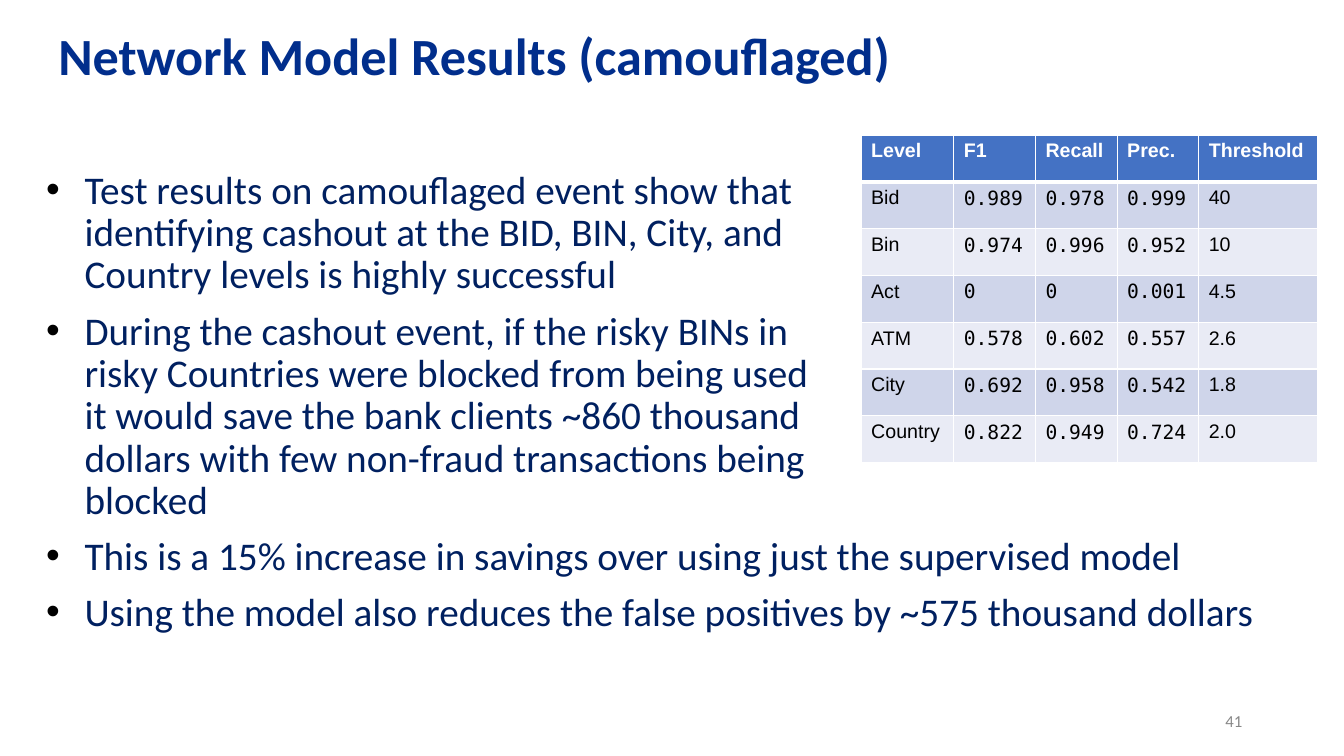
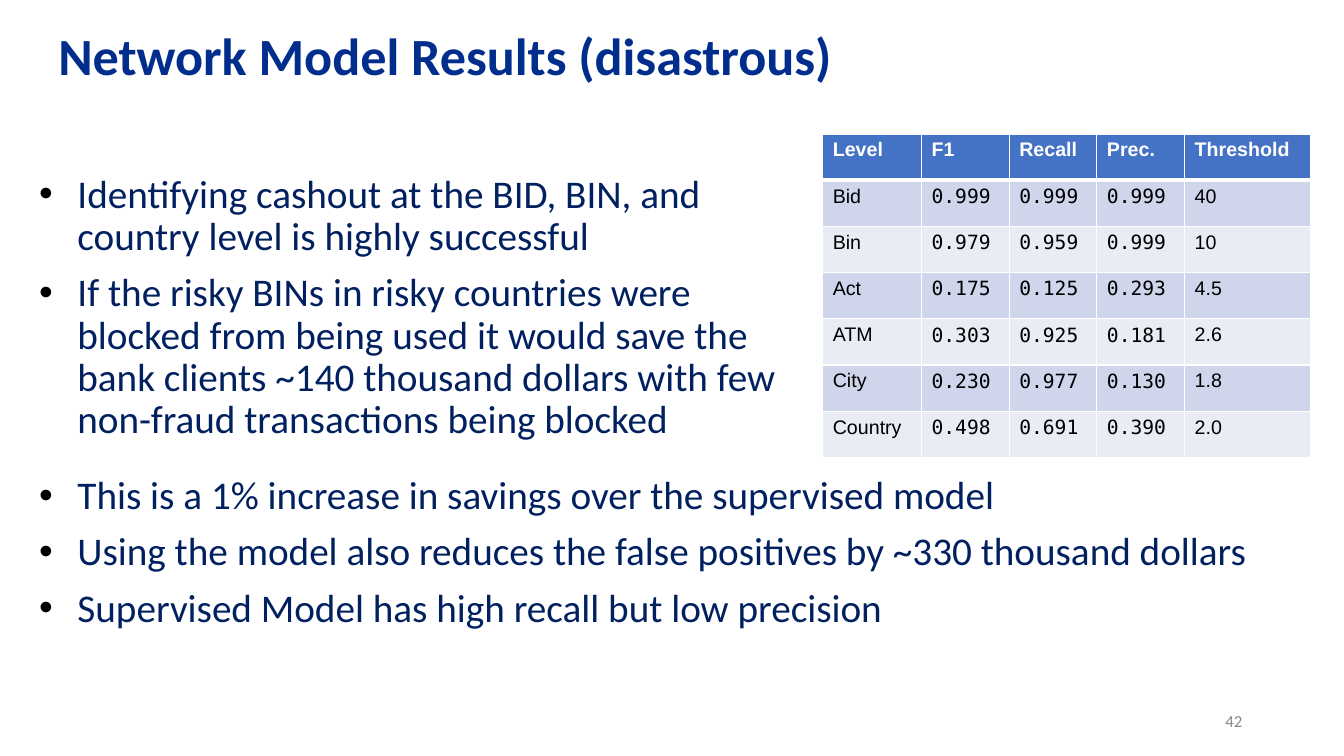
from lxml import etree
from pptx import Presentation
from pptx import util as u
from pptx.dml.color import RGBColor
from pptx.enum import text
from pptx.oxml.ns import qn

PX = 9144
COLORS = {
    "title": "012E8C",
    "body": "002060",
    "bullet": "000000",
    "number": "888888",
    "head": "4472C4",
    "odd": "CFD5EA",
    "even": "E9EBF5",
    "cell": "000000",
    "white": "FFFFFF",
}
SANS, TABLE_FONT, MONO = "Calibri", "Arial", "DejaVu Sans Mono"


def px(length):
    return u.Emu(length * PX)


def rgb(name):
    return RGBColor.from_string(COLORS[name])


def add_color(parent, name):
    etree.SubElement(parent, qn("a:srgbClr"), val=COLORS[name])


class Deck:
    def __init__(self):
        self.deck = Presentation()
        self.deck.slide_width, self.deck.slide_height = px(1333), px(750)
        self.page = None

    def add_page(self, title, number):
        self.page = self.deck.slides.add_slide(self.deck.slide_layouts[6])
        para = self.add_box(48, 17, 1167, 83, [title], anchor=text.MSO_ANCHOR.MIDDLE)[0]
        para.line_spacing = 0.9
        self.style(para, SANS, 37.3, "title", True)
        para = self.add_box(942, 695, 300, 40, [str(number)], anchor=text.MSO_ANCHOR.MIDDLE)[0]
        para.alignment = text.PP_ALIGN.RIGHT
        self.style(para, SANS, 12, "number")

    def style(self, para, font, size, color, bold=False):
        para.font.name, para.font.size, para.font.bold = font, u.Pt(size), bold
        para.font.color.rgb = rgb(color)

    def add_box(self, left, top, width, height, lines, anchor=text.MSO_ANCHOR.TOP):
        frame = self.page.shapes.add_textbox(px(left), px(top), px(width), px(height)).text_frame
        frame.word_wrap = True
        frame.vertical_anchor = anchor
        frame.text = "\n".join(lines)
        return frame.paragraphs

    def add_bullets(self, left, top, width, height, lines):
        for index, para in enumerate(self.add_box(left, top, width, height, lines)):
            properties = para._p.get_or_add_pPr()
            properties.set("marL", str(px(50)))
            properties.set("indent", str(px(-38)))
            add_color(etree.SubElement(properties, qn("a:buClr")), "bullet")
            etree.SubElement(properties, qn("a:buFont"), typeface="Arial")
            etree.SubElement(properties, qn("a:buChar"), char="•")
            para.line_spacing = 0.9
            para.space_before = u.Pt(10 if index else 0)
            self.style(para, SANS, 28, "body")

    def add_borders(self, cell, top, bottom):
        properties = cell._tc.get_or_add_tcPr()
        for side, points in (("L", 1), ("R", 1), ("T", top), ("B", bottom)):
            line = etree.SubElement(properties, qn("a:ln" + side), w=str(u.Pt(points)))
            add_color(etree.SubElement(line, qn("a:solidFill")), "white")

    def add_table(self, left, top, height, widths, rows):
        table = self.page.shapes.add_table(
            len(rows), len(widths), px(left), px(top), px(sum(widths)), px(height)
        ).table
        for column, width in zip(table.columns, widths):
            column.width = px(width)
        for r, values in enumerate(rows):
            header = r == 0
            fill = "head" if header else ("odd" if r % 2 else "even")
            for c, value in enumerate(values):
                cell = table.cell(r, c)
                self.add_borders(cell, 3 if r == 1 else 1, 3 if header else 1)
                cell.fill.solid()
                cell.fill.fore_color.rgb = rgb(fill)
                cell.text = value
                numeric = not header and 0 < c < len(values) - 1
                self.style(cell.text_frame.paragraphs[0], MONO if numeric else TABLE_FONT,
                           14, "white" if header else "cell", header)


def result_rows(scores):
    levels = ["Bid", "Bin", "Act", "ATM", "City", "Country"]
    thresholds = ["40", "10", "4.5", "2.6", "1.8", "2.0"]
    body = [[level, *score.split(), threshold]
            for level, score, threshold in zip(levels, scores, thresholds)]
    return [["Level", "F1", "Recall", "Prec.", "Threshold"], *body]


def main():
    deck = Deck()

    deck.add_page("Network Model Results (camouflaged)", 41)
    deck.add_bullets(24, 164, 798, 392, [
        "Test results on camouflaged event show that identifying cashout at the BID, BIN, "
        "City, and Country levels is highly successful",
        "During the cashout event, if the risky BINs in risky Countries were blocked from "
        "being used it would save the bank clients ~860 thousand dollars with few non-fraud "
        "transactions being blocked",
    ])
    deck.add_table(854, 134, 325, [92, 81, 81, 81, 118], result_rows([
        "0.989 0.978 0.999",
        "0.974 0.996 0.952",
        "0 0 0.001",
        "0.578 0.602 0.557",
        "0.692 0.958 0.542",
        "0.822 0.949 0.724",
    ]))
    deck.add_bullets(24, 527, 1253, 195, [
        "This is a 15% increase in savings over using just the supervised model",
        "Using the model also reduces the false positives by ~575 thousand dollars",
    ])

    deck.add_page("Network Model Results (disastrous)", 42)
    deck.add_bullets(17, 168, 790, 319, [
        "Identifying cashout at the BID, BIN, and country level is highly successful",
        "If the risky BINs in risky countries were blocked from being used it would save "
        "the bank clients ~140 thousand dollars with few non-fraud transactions being blocked",
    ])
    deck.add_table(816, 133, 321, [98, 87, 87, 87, 125], result_rows([
        "0.999 0.999 0.999",
        "0.979 0.959 0.999",
        "0.175 0.125 0.293",
        "0.303 0.925 0.181",
        "0.230 0.977 0.130",
        "0.498 0.691 0.390",
    ]))
    deck.add_bullets(17, 467, 1250, 242, [
        "This is a 1% increase in savings over the supervised model",
        "Using the model also reduces the false positives by ~330 thousand dollars",
        "Supervised Model has high recall but low precision",
    ])

    deck.deck.save("out.pptx")


if __name__ == "__main__":
    main()
